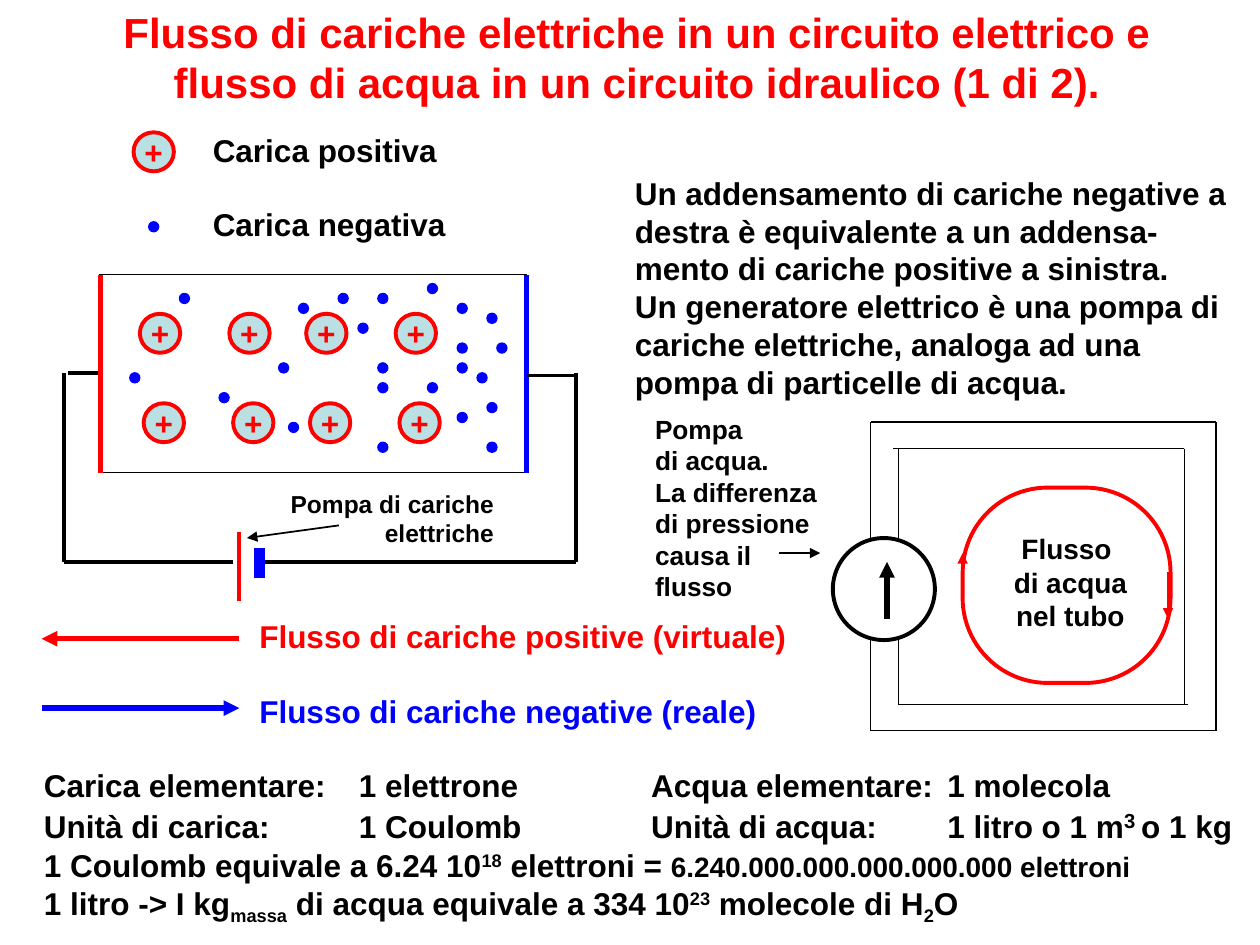
from lxml.etree import SubElement
from pptx import Presentation
from pptx.dml.color import RGBColor
from pptx.enum.shapes import MSO_CONNECTOR, MSO_SHAPE
from pptx.enum.text import MSO_ANCHOR, MSO_AUTO_SIZE, PP_ALIGN
from pptx.oxml.ns import qn
from pptx.util import Cm, Inches, Pt

RED, BLUE, BLACK, WHITE, PALE = "FF0000", "0000FF", "000000", "FFFFFF", "BBE0E3"
colour = RGBColor.from_string

deck = Presentation()
deck.slide_width, deck.slide_height = Inches(10), Inches(7.5)
page = deck.slides.add_slide(deck.slide_layouts[5])


def write(box, place, lines, size, ink=BLACK, align=PP_ALIGN.LEFT, wrap=True):
    """Place a box and fill it with bold Arial lines."""
    box.left, box.top, box.width, box.height = map(Inches, place)
    frame = box.text_frame
    frame.text = "\n".join(lines)
    frame.word_wrap = wrap
    frame.auto_size = MSO_AUTO_SIZE.NONE
    frame.vertical_anchor = MSO_ANCHOR.TOP
    for para in frame.paragraphs:
        para.alignment = align
        for span in para.runs:
            span.font.name, span.font.size, span.font.bold = "Arial", Pt(size), True
            span.font.color.rgb = colour(ink)
    return frame


def draw_line(x1, y1, x2, y2, ink=BLACK, weight=0.75, arrow=False):
    line = page.shapes.add_connector(
        MSO_CONNECTOR.STRAIGHT, *map(Inches, (x1, y1, x2, y2)))
    line.line.color.rgb = colour(ink)
    line.line.width = Pt(weight)
    if arrow:
        SubElement(line.line._get_or_add_ln(), qn("a:tailEnd"), type="triangle")
    SubElement(line._element.spPr, qn("a:effectLst"))


write(page.shapes.title, (0.83, 0, 8.45, 0.9),
      ["Flusso di cariche elettriche in un circuito elettrico e "
       "flusso di acqua in un circuito idraulico (1 di 2)."],
      24, RED, PP_ALIGN.CENTER)

# Charges: positive ones in two rows, negative ones on a 2 mm grid
positive = [(1.06, 1.05)]
for x in (1.11, 1.82, 2.43, 3.14):
    positive += [(x, 2.49), (x + 0.03, 3.2)]

grid = Cm(0.2).inches
dot_columns = {0: [9], 5: [1], 9: [11], 15: [8], 16: [14], 17: [2], 21: [1],
               23: [4], 25: [1, 8, 10, 16], 30: [0, 10], 33: [2, 6, 8, 13],
               35: [9], 36: [3, 12, 16], 37: [6]}
negative = [(1.18, 1.76)]
negative += [(1.03 + column * grid, 2.25 + row * grid)
             for column, rows in dot_columns.items() for row in rows]

OVAL = MSO_SHAPE.OVAL
figures = [(OVAL, x, y, 0.32, 0.31, PALE, RED, 2.25, "+") for x, y in positive]
figures += [(OVAL, x, y, 0.08, 0.08, BLUE, BLUE, 0.75, "") for x, y in negative]
figures += [
    (MSO_SHAPE.RECTANGLE, 0.79, 2.18, 3.39, 1.57, None, BLACK, 0.75, ""),
    (OVAL, 6.61, 4.27, 0.81, 0.81, WHITE, BLACK, 2.25, ""),
    (MSO_SHAPE.ROUNDED_RECTANGLE, 7.64, 3.87, 1.65, 1.55, None, RED, 2.25, ""),
]
for kind, x, y, width, height, fill, ink, weight, label in figures:
    figure = page.shapes.add_shape(kind, *map(Inches, (x, y, width, height)))
    figure.shadow.inherit = False
    figure.line.color.rgb = colour(ink)
    figure.line.width = Pt(weight)
    if fill:
        figure.fill.solid()
        figure.fill.fore_color.rgb = colour(fill)
    else:
        figure.fill.background()
    if kind == MSO_SHAPE.ROUNDED_RECTANGLE:
        figure.adjustments[0] = 0.435
    if label:
        frame = write(figure, (x, y, width, height), [label], 18, RED,
                      PP_ALIGN.CENTER, wrap=False)
        frame.vertical_anchor = MSO_ANCHOR.MIDDLE

# Electric circuit: conductor plates, wires, battery
draw_line(0.8, 2.18, 0.8, 3.75, RED, 3)
draw_line(4.18, 2.18, 4.18, 3.75, BLUE, 3)
for wire in [(0.54, 2.96, 0.78, 2.96), (4.18, 2.98, 4.57, 2.98),
             (0.51, 4.46, 1.85, 4.46), (2.06, 4.46, 4.57, 4.46),
             (0.51, 2.96, 0.51, 4.46), (4.57, 2.96, 4.57, 4.46)]:
    draw_line(*wire, weight=2.25)
draw_line(1.9, 4.22, 1.9, 4.77, RED, 2.25)
draw_line(2.06, 4.35, 2.06, 4.59, BLUE, 6)

# Water circuit: outer and inner pipe walls
for wall in [(6.91, 3.35, 6.91, 4.27), (7.13, 3.56, 7.13, 4.27),
             (6.91, 5.08, 6.91, 5.8), (7.13, 5.08, 7.13, 5.59),
             (6.91, 3.35, 9.65, 3.35), (6.91, 5.8, 9.65, 5.8),
             (7.09, 3.56, 9.4, 3.56), (7.13, 5.59, 9.43, 5.59),
             (9.4, 3.56, 9.4, 5.59), (9.65, 3.35, 9.65, 5.8)]:
    draw_line(*wall)

for arrow in [(1.9, 5.07, 0.33, 5.07, RED, 3), (0.33, 5.62, 1.9, 5.62, BLUE, 3),
              (7.04, 4.91, 7.04, 4.46, BLACK, 3), (6.18, 4.39, 6.51, 4.39),
              (7.64, 4.76, 7.64, 4.39, RED), (9.27, 4.54, 9.27, 4.91, RED),
              (2.69, 4.17, 1.96, 4.27, BLACK, 1)]:
    draw_line(*arrow, arrow=True)

# Captions
captions = [
    ((4.94, 1.33, 4.9, 1.92), 18, PP_ALIGN.LEFT,
     ["Un addensamento di cariche negative a destra è equivalente a un "
      "addensa-mento di cariche positive a sinistra.",
      "Un generatore elettrico è una pompa di cariche elettriche, analoga "
      "ad una pompa di particelle di acqua."]),
    ((5.1, 3.23, 1.59, 1.62), 15, PP_ALIGN.LEFT,
     ["Pompa", "di acqua.", "La differenza di pressione causa il flusso"]),
    ((7.75, 4.17, 1.49, 0.85), 16, PP_ALIGN.CENTER,
     ["Flusso \vdi acqua", "nel tubo"]),
    ((2.08, 3.83, 1.94, 0.57), 14, PP_ALIGN.RIGHT, ["Pompa di cariche elettriche"]),
]
for place, size, align, lines in captions:
    write(page.shapes.add_textbox(0, 0, 0, 0), place, lines, size, align=align)

legends = [
    ((1.59, 0.99, 2.05, 1), BLACK, ["Carica positiva", "Carica negativa"]),
    ((1.96, 4.85, 4.42, 1.01), RED,
     ["Flusso di cariche positive (virtuale)", "Flusso di cariche negative (reale)"]),
]
for place, ink, lines in legends:
    frame = write(page.shapes.add_textbox(0, 0, 0, 0), place, lines, 18, ink, wrap=False)
    frame.paragraphs[1].space_before = Pt(21)
frame.paragraphs[1].runs[0].font.color.rgb = colour(BLUE)

# Units: each span is text, size, baseline shift in thousandths of a percent
UP, DOWN = 30000, -25000
units = [
    [("Carica elementare:\t1 elettrone\tAcqua elementare:\t1 molecola", 18, 0)],
    [("Unità di carica:\t1 Coulomb\tUnità di acqua:\t1 litro o 1 m", 18, 0),
     ("3 ", 20, UP), ("o 1 kg", 18, 0)],
    [("1 Coulomb equivale a 6.24 10", 18, 0), ("18", 18, UP), (" elettroni = ", 18, 0),
     ("6.240.000.000.000.000.000 elettroni", 16, 0)],
    [("1 litro -> I kg", 18, 0), ("massa", 18, DOWN),
     (" di acqua equivale a 334 10", 18, 0), ("23", 18, UP),
     (" molecole di H", 18, 0), ("2", 18, DOWN), ("O", 18, 0)],
]
frame = write(page.shapes.add_textbox(0, 0, 0, 0), (0.25, 6.03, 9.75, 1.31),
              [""] * len(units), 18)
for para, spans in zip(frame.paragraphs, units):
    if "\t" in spans[0][0]:
        tabs = SubElement(para._p.get_or_add_pPr(), qn("a:tabLst"))
        for stop in (2.5, 4.82, 7.17):
            SubElement(tabs, qn("a:tab"), pos=str(Inches(stop)), algn="l")
    for text, size, shift in spans:
        span = para.add_run()
        span.text = text
        span.font.name, span.font.size, span.font.bold = "Arial", Pt(size), True
        span.font.color.rgb = colour(BLACK)
        if shift:
            span.font._element.set("baseline", str(shift))

deck.save("out.pptx")
